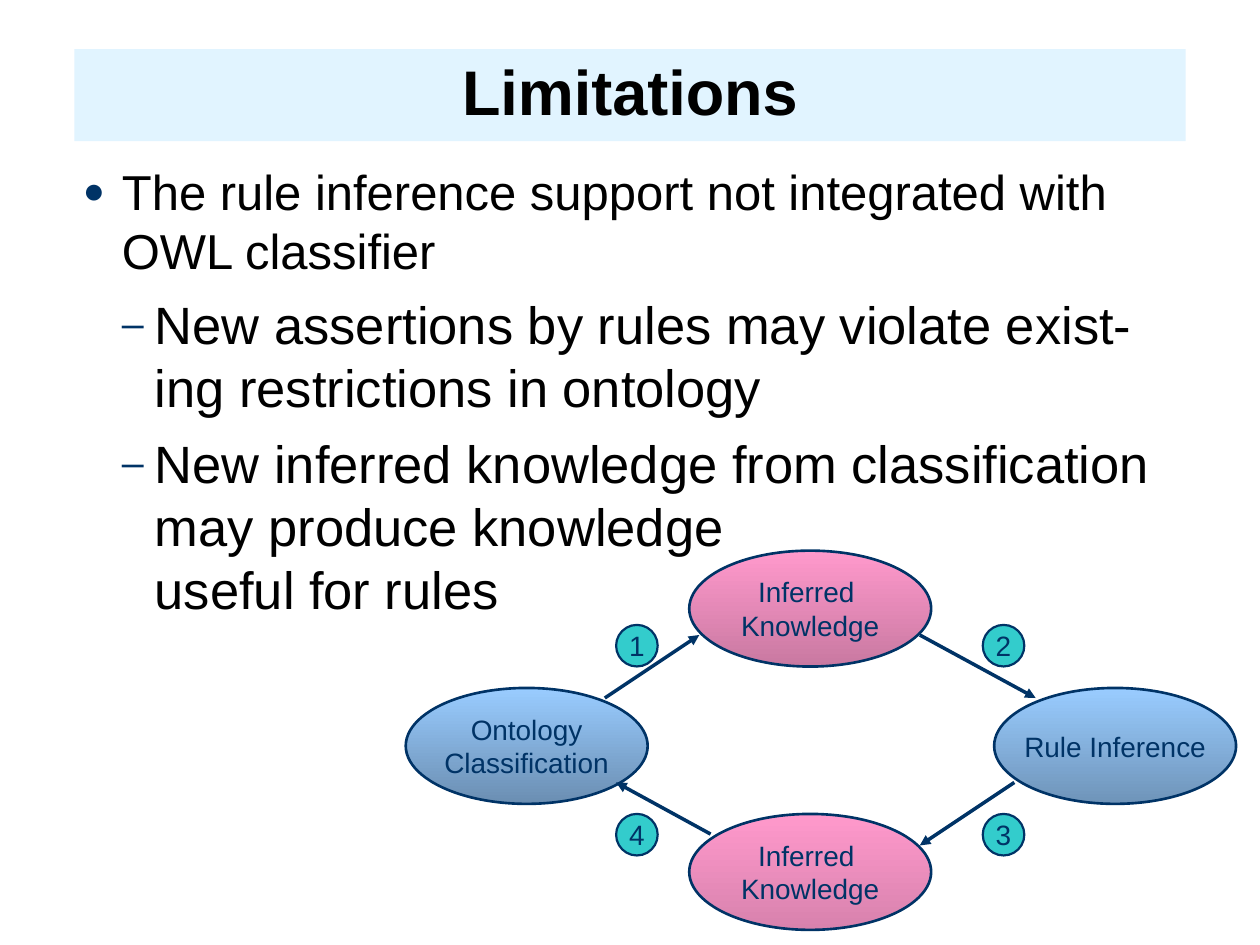
import pptx
import pptx.util
import pptx.dml.color
import pptx.enum.shapes
import pptx.enum.text
import pptx.oxml.ns
from lxml import etree
from pptx.util import Inches

NAVY = "003366"
SHAPE = pptx.enum.shapes.MSO_SHAPE


def color(value):
    """Turn a hex string into a colour."""
    return pptx.dml.color.RGBColor.from_string(value)


def add_xml(parent, tag, **attrs):
    """Append a drawing element with the given attributes."""
    return etree.SubElement(parent, pptx.oxml.ns.qn(tag), attrs)


def add_text(tf, text, size=16, fill=NAVY, bold=False, align="CENTER", before=0, spacing=None):
    """Write one paragraph in a text frame and return it."""
    p = tf.paragraphs[0]
    if p.runs:
        p = tf.add_paragraph()
    p.alignment = getattr(pptx.enum.text.PP_ALIGN, align)
    p.space_before = pptx.util.Pt(before)
    p.line_spacing = spacing
    for i, line in enumerate(text.split("\n")):
        if i:
            p.add_line_break()
        r = p.add_run()
        r.text = line
        r.font.name = "Arial"
        r.font.size = pptx.util.Pt(size)
        r.font.bold = bold
        r.font.color.rgb = color(fill)
    return p


def add_bullet(p, char, margin, indent, level=0):
    """Give a paragraph a navy bullet and a hanging indent."""
    p.level = level
    pPr = p._p.get_or_add_pPr()
    pPr.set("marL", str(Inches(margin)))
    pPr.set("indent", str(-Inches(indent)))
    add_xml(add_xml(pPr, "a:buClr"), "a:srgbClr", val=NAVY)
    add_xml(pPr, "a:buSzPct", val="75000")
    add_xml(pPr, "a:buFont", typeface="Arial")
    add_xml(pPr, "a:buChar", char=char)


def add_shape(slide, kind, box, fill, line=None, wrap=False):
    """Add a shape with a plain fill, or a downward gradient for two colours."""
    sp = slide.shapes.add_shape(kind, *map(Inches, box))
    sp.shadow.inherit = False
    if isinstance(fill, tuple):
        sp.fill.gradient()
        sp.fill.gradient_angle = 270
        for stop, value, position in zip(sp.fill.gradient_stops, fill, (0, 1)):
            stop.color.rgb = color(value)
            stop.position = position
    else:
        sp.fill.solid()
        sp.fill.fore_color.rgb = color(fill)
    if line:
        sp.line.color.rgb = color(NAVY)
        sp.line.width = pptx.util.Pt(line)
    else:
        sp.line.fill.background()
    sp.text_frame.word_wrap = wrap
    sp.text_frame.vertical_anchor = pptx.enum.text.MSO_ANCHOR.MIDDLE
    return sp


def add_node(slide, left, top, lines, fill):
    """Add a labelled ellipse of the cycle."""
    sp = add_shape(slide, SHAPE.OVAL, (left, top, 1.92, 0.92), fill, 1.5)
    for line in lines:
        add_text(sp.text_frame, line)


def add_step(slide, left, top, number):
    """Add a numbered circle."""
    sp = add_shape(slide, SHAPE.OVAL, (left, top, 0.33, 0.33), "33CCCC", 1.25)
    add_text(sp.text_frame, number)


def add_arrow(slide, *ends):
    """Add a straight arrow between two points."""
    kind = pptx.enum.shapes.MSO_CONNECTOR.STRAIGHT
    c = slide.shapes.add_connector(kind, *map(Inches, ends))
    c.line.color.rgb = color(NAVY)
    c.line.width = pptx.util.Pt(2)
    add_xml(c.line._get_or_add_ln(), "a:tailEnd", type="triangle")
    add_xml(c._element.spPr, "a:effectLst")


def add_body(slide):
    """Add the bulleted text."""
    box = slide.shapes.add_textbox(*map(Inches, (0.56, 1.23, 8.87, 5.42)))
    tf = box.text_frame
    tf.word_wrap = True
    p = add_text(tf, "The rule inference support not integrated with OWL classifier",
                 size=28, fill="000000", align="LEFT", before=7)
    add_bullet(p, "●", 0.31, 0.31)
    for text in ("New assertions by rules may violate exist-ing restrictions in ontology",
                 "New inferred knowledge from classification may produce knowledge\n"
                 "useful for rules"):
        p = add_text(tf, text, size=30, fill="000000", align="LEFT", before=7.5)
        add_bullet(p, "–", 0.57, 0.26, level=1)


def add_cycle(slide):
    """Add the cycle of classification and rule inference."""
    inferred = ("Inferred ", "Knowledge")
    add_node(slide, 3.22, 5.46, ("Ontology", "Classification"), ("99CCFF", "6B8EB2"))
    add_node(slide, 7.89, 5.46, ("Rule Inference",), ("99CCFF", "6F94B9"))
    add_node(slide, 5.47, 4.37, inferred, ("FF99CC", "C979A1"))
    add_node(slide, 5.47, 6.46, inferred, ("FF99CC", "D882AD"))
    for ends in ((4.8, 5.54, 5.55, 5.04), (7.3, 5.04, 8.22, 5.54),
                 (8.05, 6.21, 7.3, 6.71), (5.64, 6.62, 4.89, 6.21)):
        add_arrow(slide, *ends)
    for top, numbers in ((4.96, "12"), (6.46, "43")):
        for left, number in zip((4.89, 7.8), numbers):
            add_step(slide, left, top, number)


def main():
    """Build and save the slide."""
    prs = pptx.Presentation()
    prs.slide_width, prs.slide_height = Inches(10), Inches(7.5)
    slide = prs.slides.add_slide(prs.slide_layouts[6])
    title = add_shape(slide, SHAPE.RECTANGLE, (0.59, 0.39, 8.82, 0.73), "E1F4FF", wrap=True)
    add_text(title.text_frame, "Limitations", size=36, fill="000000", bold=True, spacing=0.9)
    add_body(slide)
    add_cycle(slide)
    prs.save("out.pptx")


if __name__ == "__main__":
    main()
